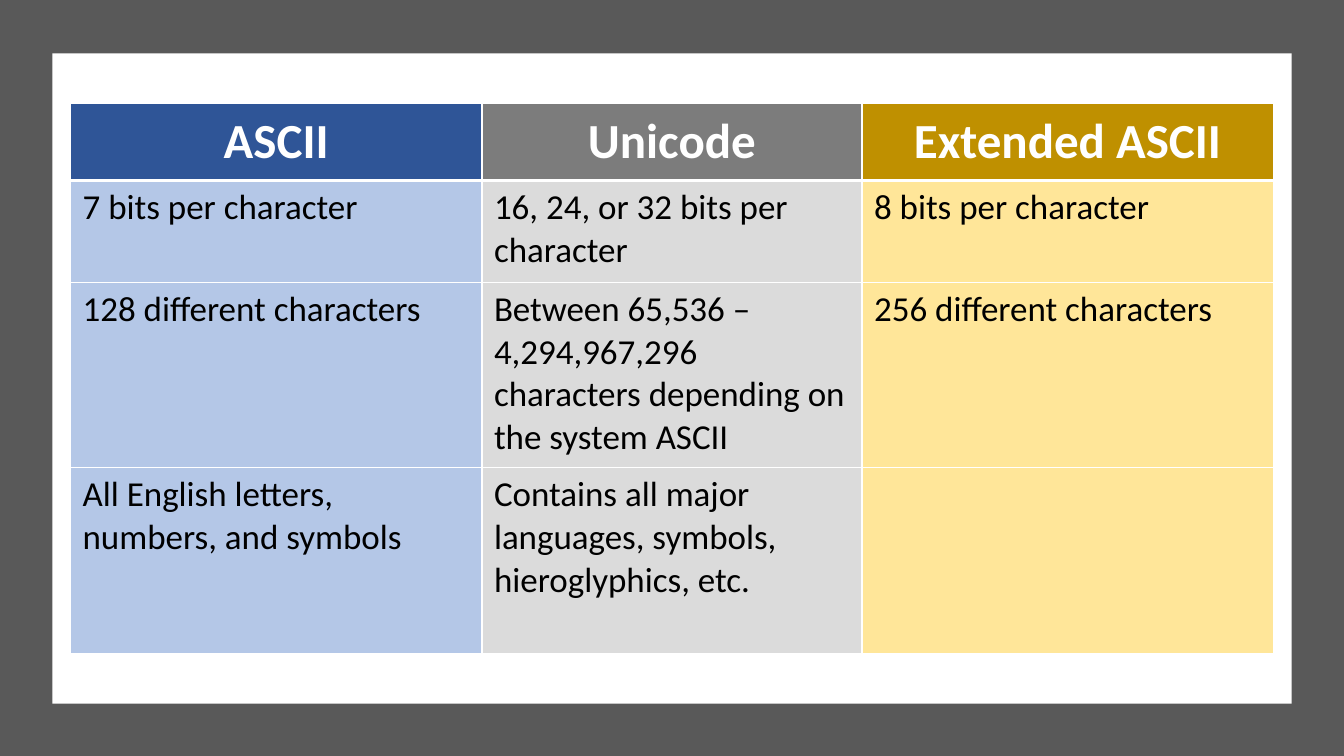
from dataclasses import dataclass

from lxml.etree import SubElement
from pptx import Presentation
from pptx.dml.color import RGBColor
from pptx.enum.shapes import MSO_SHAPE as Shape
from pptx.enum.text import MSO_ANCHOR as Anchor, PP_ALIGN as Align
from pptx.oxml.ns import qn
from pptx.util import Inches, Pt

WIDTH, HEIGHT = 13.33, 7.5

WHITE = RGBColor(0xFF, 0xFF, 0xFF)
BLACK = RGBColor(0x00, 0x00, 0x00)
FRAME_GREY = RGBColor(0x59, 0x59, 0x59)
BLUE, PALE_BLUE = RGBColor(0x2F, 0x55, 0x97), RGBColor(0xB4, 0xC7, 0xE7)
GREY, PALE_GREY = RGBColor(0x7C, 0x7C, 0x7C), RGBColor(0xDB, 0xDB, 0xDB)
GOLD, PALE_GOLD = RGBColor(0xBF, 0x90, 0x00), RGBColor(0xFF, 0xE6, 0x99)

HEADER_FONT = {"name": "Calibri", "size": Pt(35), "bold": True}
BODY_FONT = {"name": "Calibri", "size": Pt(25), "bold": False}
CELL_MARGINS = {
    "margin_left": Inches(0.12), "margin_right": Inches(0.12),
    "margin_top": Inches(0.06), "margin_bottom": Inches(0.06),
}
ROW_HEIGHTS = (0.76, 1.01, 1.84, 1.84)
THIN, THICK = Pt(1), Pt(3)


@dataclass(frozen=True)
class Panel:
    left: float
    top: float
    width: float
    height: float
    color: RGBColor


@dataclass(frozen=True)
class Encoding:
    name: str
    width: float
    header_color: RGBColor
    body_color: RGBColor
    facts: tuple[str, str, str]


PANELS = (
    Panel(0, 0, WIDTH, HEIGHT, FRAME_GREY),
    Panel(0.52, 0.53, WIDTH - 2 * 0.52, 6.45, WHITE),
)
ENCODINGS = (
    Encoding("ASCII", 4.08, BLUE, PALE_BLUE, (
        "7 bits per character",
        "128 different characters",
        "All English letters, numbers, and symbols")),
    Encoding("Unicode", 3.77, GREY, PALE_GREY, (
        "16, 24, or 32 bits per character",
        "Between 65,536 – 4,294,967,296 characters depending on the system ASCII",
        "Contains all major languages, symbols, hieroglyphics, etc.")),
    Encoding("Extended ASCII", 4.08, GOLD, PALE_GOLD, (
        "8 bits per character",
        "256 different characters",
        "")),
)


def set_all(target, values: dict) -> None:
    for name, value in values.items():
        setattr(target, name, value)


def draw_panel(slide, panel: Panel) -> None:
    lengths = (panel.left, panel.top, panel.width, panel.height)
    box = slide.shapes.add_shape(Shape.RECTANGLE, *map(Inches, lengths))
    box.shadow.inherit = False
    box.fill.solid()
    box.fill.fore_color.rgb = panel.color
    box.line.fill.background()


def add_borders(cell, top: int, bottom: int) -> None:
    properties = cell._tc.get_or_add_tcPr()
    # Border lines come before the fill in a cell's properties
    sides = (("lnL", THIN), ("lnR", THIN), ("lnT", top), ("lnB", bottom))
    for position, (side, width) in enumerate(sides):
        line = SubElement(properties, qn(f"a:{side}"), w=str(width))
        fill = SubElement(line, qn("a:solidFill"))
        SubElement(fill, qn("a:srgbClr"), val=str(WHITE))
        properties.insert(position, line)


def fill_cell(cell, text: str, row: int, encoding: Encoding) -> None:
    header = row == 0
    set_all(cell, CELL_MARGINS)
    cell.vertical_anchor = Anchor.MIDDLE if header else Anchor.TOP
    cell.fill.solid()
    cell.fill.fore_color.rgb = encoding.header_color if header else encoding.body_color
    add_borders(cell, THICK if row == 1 else THIN, THICK if header else THIN)

    para = cell.text_frame.paragraphs[0]
    para.alignment = Align.CENTER if header else Align.LEFT
    if text:
        span = para.add_run()
        span.text = text
        set_all(span.font, HEADER_FONT if header else BODY_FONT)
        span.font.color.rgb = WHITE if header else BLACK


def draw_table(slide, encodings: tuple[Encoding, ...]) -> None:
    width = sum(encoding.width for encoding in encodings)
    table = slide.shapes.add_table(
        len(ROW_HEIGHTS), len(encodings), Inches((WIDTH - width) / 2), Inches(1.03),
        Inches(width), Inches(sum(ROW_HEIGHTS))).table
    for row, height in zip(table.rows, ROW_HEIGHTS):
        row.height = Inches(height)
    for column, encoding in enumerate(encodings):
        table.columns[column].width = Inches(encoding.width)
        for row, text in enumerate((encoding.name, *encoding.facts)):
            fill_cell(table.cell(row, column), text, row, encoding)


def main() -> None:
    deck = Presentation()
    deck.slide_width, deck.slide_height = Inches(WIDTH), Inches(HEIGHT)
    page = deck.slides.add_slide(deck.slide_layouts[6])

    # Grey frame around a white panel
    for panel in PANELS:
        draw_panel(page, panel)

    # Comparison of the encodings
    draw_table(page, ENCODINGS)
    deck.save("out.pptx")


if __name__ == "__main__":
    main()
